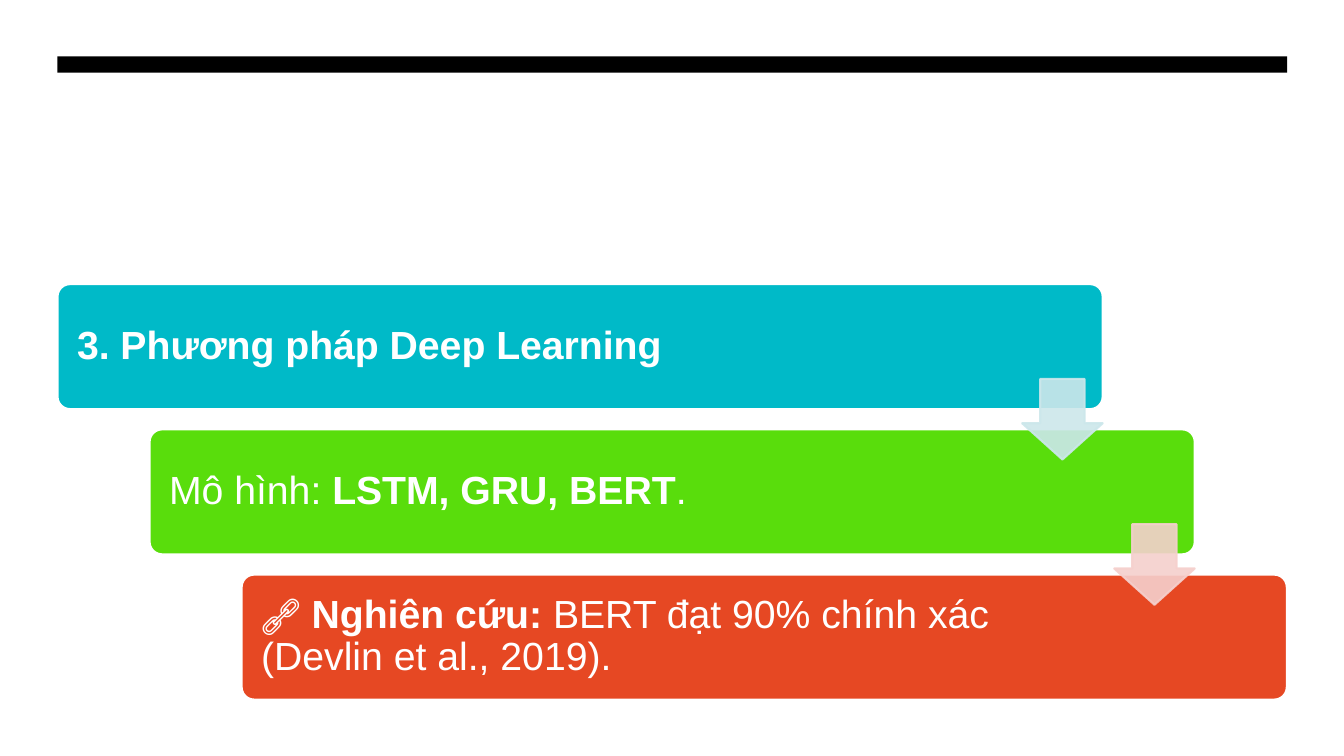
"""Build a slide with three cascading steps on deep learning methods."""
from dataclasses import dataclass

from lxml import etree
from pptx import Presentation
from pptx.dml.color import RGBColor
from pptx.enum.shapes import MSO_SHAPE
from pptx.enum.text import MSO_ANCHOR, PP_ALIGN
from pptx.oxml.ns import qn
from pptx.util import Cm, Pt

RECT = MSO_SHAPE.RECTANGLE
ROUND_RECT = MSO_SHAPE.ROUNDED_RECTANGLE
DOWN_ARROW = MSO_SHAPE.DOWN_ARROW
MIDDLE = MSO_ANCHOR.MIDDLE
LEFT = PP_ALIGN.LEFT

WHITE = RGBColor(0xFF, 0xFF, 0xFF)
BLACK = RGBColor(0x00, 0x00, 0x00)
TEAL = RGBColor(0x00, 0xBA, 0xC8)
GREEN = RGBColor(0x59, 0xDD, 0x0C)
RED = RGBColor(0xE6, 0x48, 0x23)
PALE_TEAL = RGBColor(0xCC, 0xE7, 0xEB)
PALE_RED = RGBColor(0xF5, 0xD0, 0xCD)

STEP_LEFT, STEP_TOP = 1.45, 7.16
STEP_WIDTH, STEP_HEIGHT = 26.34, 3.15
SHIFT_X, SHIFT_Y = 2.32, 3.66
ARROW_LEFT, ARROW_TOP, ARROW_SIZE = 25.76, 9.55, 2.03


@dataclass
class Step:
    fill: RGBColor
    runs: list[tuple[str, bool]]


STEPS = [
    Step(TEAL, [("3. Phương pháp Deep Learning", True)]),
    Step(GREEN, [("Mô hình: ", False), ("LSTM, GRU, BERT", True), (".", False)]),
    Step(RED, [("🔗 ", False), ("Nghiên cứu:", True),
               (" BERT đạt 90% chính xác (Devlin et al., 2019).", False)]),
]
ARROW_FILLS = [PALE_TEAL, PALE_RED]


def add_box(s, kind, left: float, top: float, width: float, height: float,
            fill: RGBColor, line: RGBColor | None = None):
    """Add a flat filled shape, measured in centimetres."""
    sp = s.shapes.add_shape(kind, Cm(left), Cm(top), Cm(width), Cm(height))
    sp.shadow.inherit = False
    sp.fill.solid()
    sp.fill.fore_color.rgb = fill
    if line is None:
        sp.line.fill.background()
    else:
        sp.line.color.rgb = line
        sp.line.width = Pt(1.5)
    return sp


def add_step(s, index: int, step: Step) -> None:
    """Add one rounded step with its text."""
    sp = add_box(s, ROUND_RECT, STEP_LEFT + index * SHIFT_X, STEP_TOP + index * SHIFT_Y,
                 STEP_WIDTH, STEP_HEIGHT, step.fill, WHITE)
    sp.adjustments[0] = 0.1
    tf = sp.text_frame
    tf.word_wrap = True
    tf.vertical_anchor = MIDDLE
    tf.margin_left, tf.margin_right = Cm(0.4), Cm(4.85)
    tf.margin_top = tf.margin_bottom = Cm(0.4)
    p = tf.paragraphs[0]
    p.alignment = LEFT
    p.line_spacing = 0.9
    p.font.name = "Arial"
    p.font.size = Pt(28)
    p.font.color.rgb = WHITE
    for text, bold in step.runs:
        r = p.add_run()
        r.text = text
        r.font.bold = bold


def add_arrow(s, index: int, fill: RGBColor) -> None:
    """Add a translucent arrow leading to the next step."""
    sp = add_box(s, DOWN_ARROW, ARROW_LEFT + index * SHIFT_X, ARROW_TOP + index * SHIFT_Y,
                 ARROW_SIZE, ARROW_SIZE, fill, fill)
    sp.adjustments[0] = 0.55
    sp.adjustments[1] = 0.45
    for color in sp.element.spPr.iter(qn("a:srgbClr")):
        etree.SubElement(color, qn("a:alpha"), val="90000")


def main() -> None:
    """Build and save the presentation."""
    prs = Presentation()
    prs.slide_width, prs.slide_height = Cm(33.87), Cm(19.05)
    s = prs.slides.add_slide(prs.slide_layouts[6])
    s.background.fill.solid()
    s.background.fill.fore_color.rgb = WHITE
    add_box(s, RECT, 1.45, 1.42, 30.99, 0.41, BLACK)
    for i, step in enumerate(STEPS):
        add_step(s, i, step)
    for i, fill in enumerate(ARROW_FILLS):
        add_arrow(s, i, fill)
    prs.save("out.pptx")


if __name__ == "__main__":
    main()
